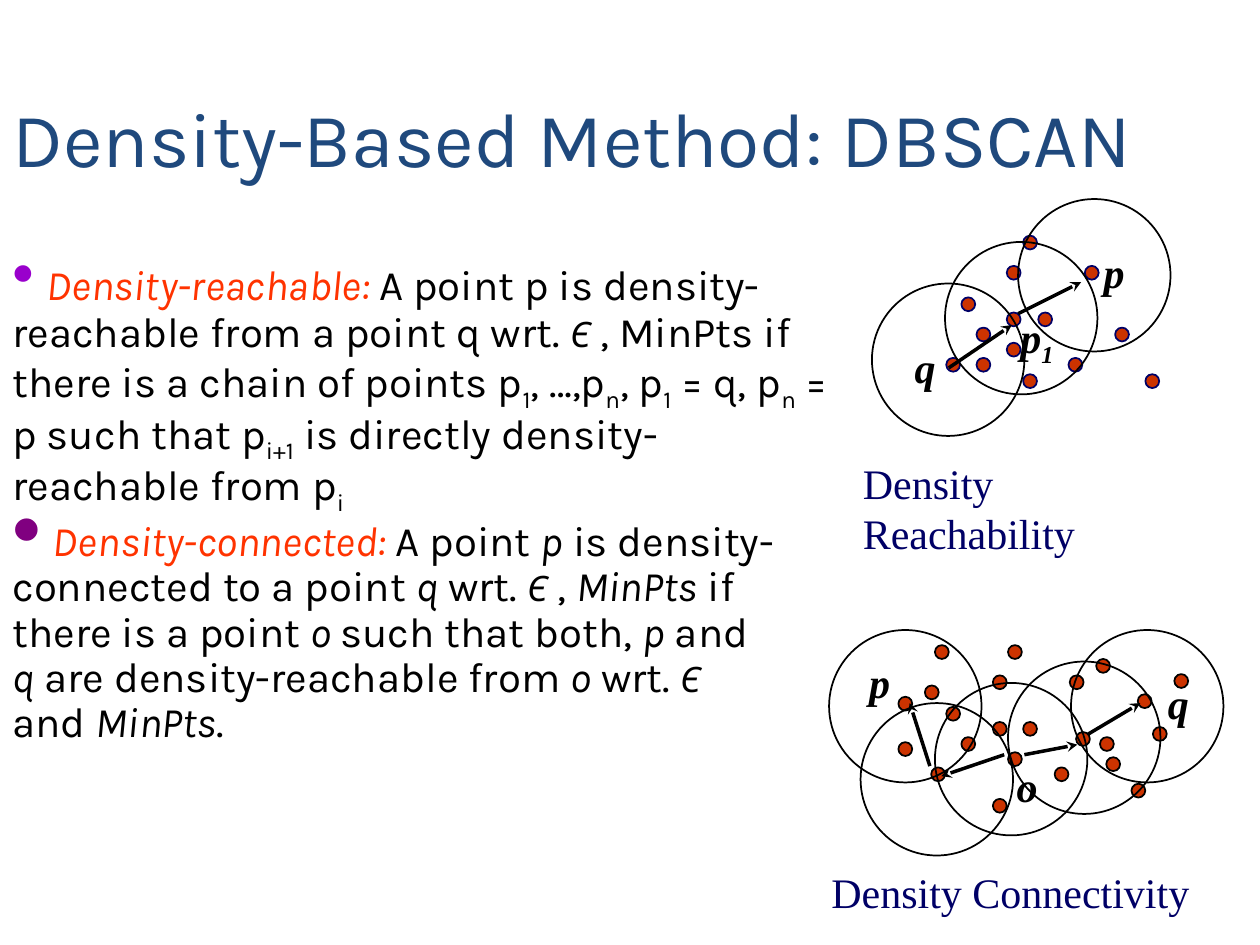
"""Build the slide on density reachability and density connectivity in DBSCAN."""
from lxml.etree import SubElement
from pptx import Presentation
from pptx.dml.color import RGBColor
from pptx.enum.shapes import MSO_CONNECTOR as CONNECTOR, MSO_SHAPE as SHAPE
from pptx.oxml.ns import qn
from pptx.util import Inches, Pt

color = RGBColor.from_string

FORMATS = {
    "title": {"name": "Karla", "size": Pt(44), "color": "1F497D"},
    "lead": {"name": "Karla", "size": Pt(28), "color": "000000"},
    "body": {"name": "Karla", "size": Pt(24), "color": "000000"},
    "term": {"name": "Karla", "size": Pt(24), "color": "FF3300", "italic": True},
    "italic": {"name": "Karla", "size": Pt(24), "color": "000000", "italic": True},
    "epsilon": {"name": "Karla", "size": Pt(20), "color": "000000", "italic": True},
    "sub": {"name": "Karla", "size": Pt(24), "color": "000000", "baseline": -25000},
    "label": {"name": "Times New Roman", "size": Pt(24), "color": "000000",
              "bold": True, "italic": True},
    "label sub": {"name": "Times New Roman", "size": Pt(24), "color": "000000",
                  "bold": True, "italic": True, "baseline": -25000},
    "caption": {"name": "Times New Roman", "size": Pt(24), "color": "000066"},
}


def add_text(shapes, box, runs, wrap=True):
    text_box = shapes.add_textbox(*map(Inches, box))
    text_box.text_frame.word_wrap = wrap
    paragraph = text_box.text_frame.paragraphs[0]
    for text, style in runs:
        run = paragraph.add_run()
        run.text = text
        for key, value in FORMATS[style].items():
            if key == "color":
                run.font.color.rgb = color(value)
            elif key == "baseline":
                run._r.get_or_add_rPr().set("baseline", str(value))
            else:
                setattr(run.font, key, value)
    return paragraph


def add_oval(shapes, left, top, size, outline, fill=None):
    oval = shapes.add_shape(SHAPE.OVAL, *map(Inches, (left, top, size, size)))
    oval.shadow.inherit = False
    oval.line.color.rgb = color(outline)
    oval.line.width = Pt(1)
    if fill:
        oval.fill.solid()
        oval.fill.fore_color.rgb = color(fill)
    else:
        oval.fill.background()


presentation = Presentation()
presentation.slide_width = Inches(10)
presentation.slide_height = Inches(7.5)
slide = presentation.slides.add_slide(presentation.slide_layouts[6])

add_text(slide.shapes, (0, 0.67, 10, 0.83), [("Density-Based Method: DBSCAN", "title")])

definitions = [
    ((0, 2, 6.75, 1.96), "9900CC", 130, [
        (" ", "lead"), ("Density-reachable: ", "term"),
        ("A point p is density-reachable from a point q wrt. ", "body"),
        ("Є", "epsilon"), (" , MinPts if there is a chain of points p", "body"),
        ("1", "sub"), (", …,p", "body"), ("n", "sub"), (", p", "body"),
        ("1", "sub"), (" = q, p", "body"), ("n", "sub"),
        (" = p such that p", "body"), ("i+1", "sub"),
        (" is directly density-reachable from p", "body"), ("i", "sub")]),
    ((0, 4.08, 6.25, 1.9), "800080", 205, [
        (" ", "body"), ("Density-connected: ", "term"), ("A point ", "body"),
        ("p", "italic"), (" is density-connected to a point ", "body"),
        ("q", "italic"), (" wrt. ", "body"), ("Є", "epsilon"), (" , ", "body"),
        ("MinPts", "italic"), (" if there is a point ", "body"), ("o ", "italic"),
        ("such that both, ", "body"), ("p", "italic"), (" and ", "body"),
        ("q", "italic"), (" are density-reachable from ", "body"), ("o", "italic"),
        (" wrt. ", "body"), ("Є", "epsilon"), (" and ", "body"),
        ("MinPts", "italic"), (".", "body")]),
]
for box, bullet_color, bullet_size, runs in definitions:
    paragraph = add_text(slide.shapes, box, runs)
    paragraph.line_spacing = 0.9
    properties = paragraph._p.get_or_add_pPr()
    SubElement(SubElement(properties, qn("a:buClr")), qn("a:srgbClr")).set("val", bullet_color)
    SubElement(properties, qn("a:buSzPct")).set("val", str(bullet_size * 1000))
    SubElement(properties, qn("a:buChar")).set("char", "•")

diagrams = [
    {"outline": "000066",
     "dots": [(7.63, 2.36), (7.99, 2.48), (7.99, 2.11), (7.51, 2.84), (7.75, 2.6),
              (7.75, 2.84), (8.12, 2.97), (8.12, 1.87), (8.85, 2.6), (8.61, 2.11),
              (7.99, 2.72), (8.24, 2.48), (8.48, 2.84), (9.09, 2.97)],
     "circles": [(7.5, 1.92), (6.92, 2.25), (8.08, 1.58)],
     "arrows": [(8.08, 2.49, 8.58, 2.24), (7.53, 2.92, 8.03, 2.58)],
     "labels": [((8.66, 1.91, 0.42, 0.5), [("p", "label")]),
                ((7.16, 2.66, 0.42, 0.5), [("q", "label")]),
                ((8, 2.42, 0.67, 0.5), [("p", "label"), ("1", "label sub")])],
     "caption": ((6.75, 3.58, 3, 0.5), "Density Reachability")},
    {"outline": "000000",
     "dots": [(7.51, 5.61), (7.88, 5.73), (7.88, 5.36), (7.39, 6.09), (7.63, 5.85),
              (7.88, 6.34), (8, 5.97), (8, 5.12), (8.73, 5.85), (8.49, 5.36),
              (7.13, 5.89), (8.12, 5.73), (8.37, 6.09), (8.98, 6.22), (9.15, 5.77),
              (8.54, 5.81), (8.78, 6.01), (9.32, 5.35), (8.7, 5.23), (9.03, 5.51),
              (7.34, 5.44), (7.13, 5.53), (7.42, 5.12)],
     "circles": [(6.83, 5.58), (7.42, 5.42), (8, 5.25), (8.5, 5), (6.58, 5)],
     "arrows": [(7.97, 5.99, 7.47, 6.16), (8.13, 5.99, 8.55, 5.91),
                (7.38, 6.08, 7.22, 5.58), (8.63, 5.83, 9.05, 5.58)],
     "labels": [((6.8, 5.16, 0.42, 0.5), [("p", "label")]),
                ((9.17, 5.33, 0.42, 0.5), [("q", "label")]),
                ((7.97, 5.99, 0.42, 0.5), [("o", "label")])],
     "caption": ((6.5, 6.83, 3.04, 0.5), "Density Connectivity")},
]
for diagram in diagrams:
    shapes = slide.shapes.add_group_shape().shapes
    for left, top in diagram["dots"]:
        add_oval(shapes, left, top, 0.11, diagram["outline"], "CC3300")
    for left, top in diagram["circles"]:
        add_oval(shapes, left, top, 1.21, "000000")
    for ends in diagram["arrows"]:
        arrow = shapes.add_connector(CONNECTOR.STRAIGHT, *map(Inches, ends))
        arrow.line.color.rgb = color("000000")
        arrow.line.width = Pt(2)
        SubElement(arrow.line._get_or_add_ln(), qn("a:tailEnd")).set("type", "stealth")
        SubElement(arrow._element.spPr, qn("a:effectLst"))
    for box, runs in diagram["labels"]:
        add_text(shapes, box, runs)
    caption_box, caption = diagram["caption"]
    add_text(slide.shapes, caption_box, [(caption, "caption")], wrap=False)

presentation.save("out.pptx")
